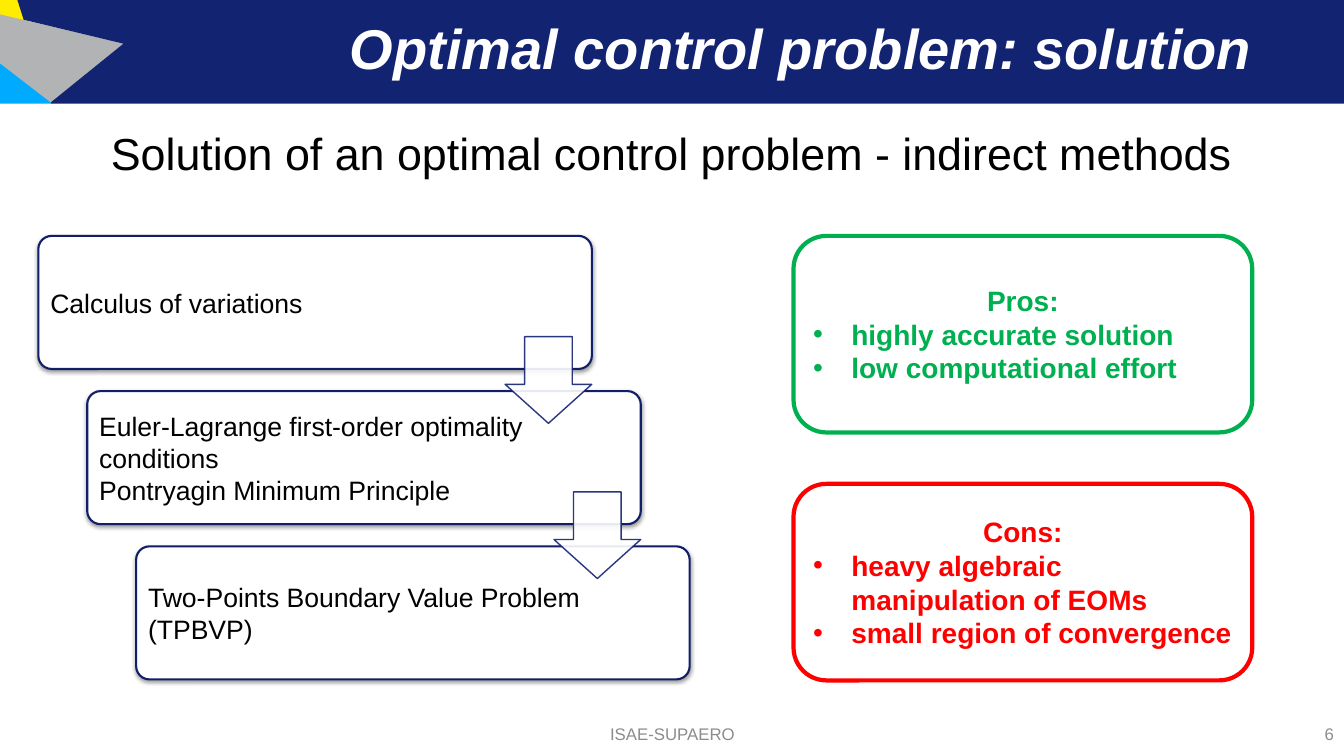
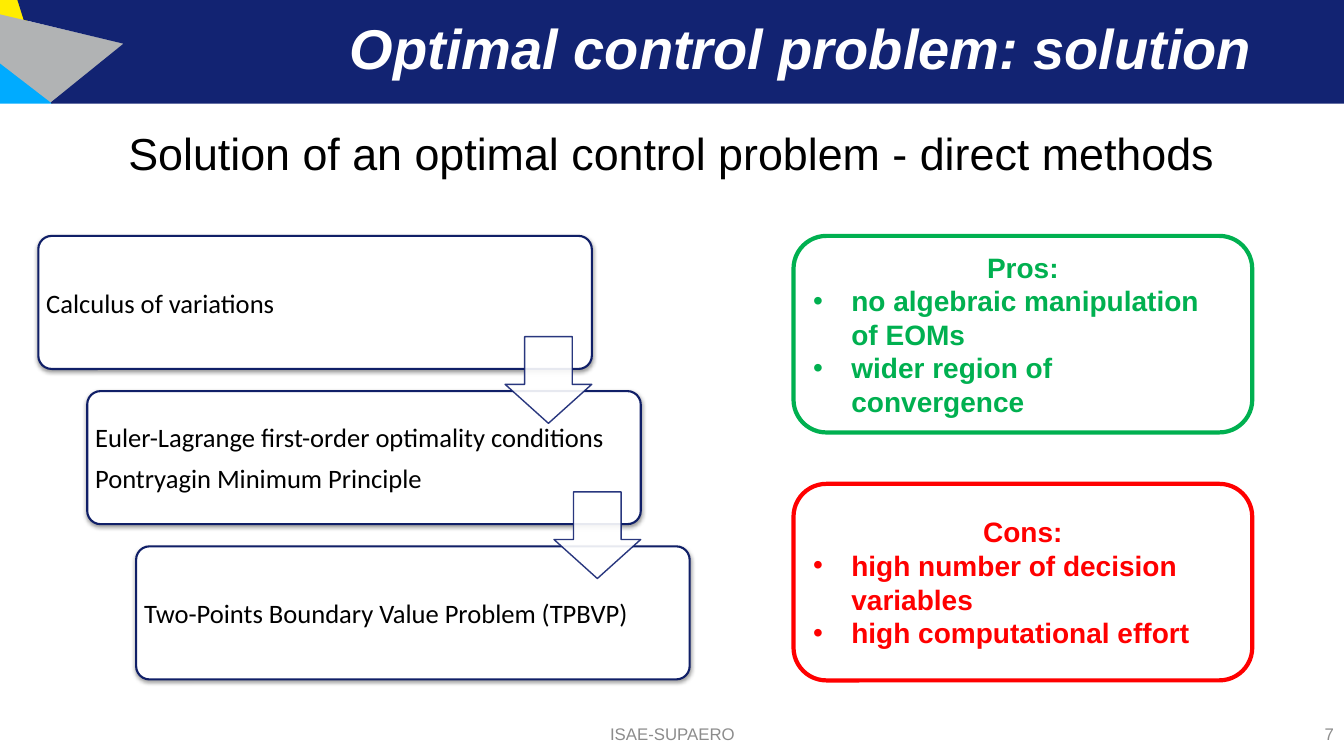
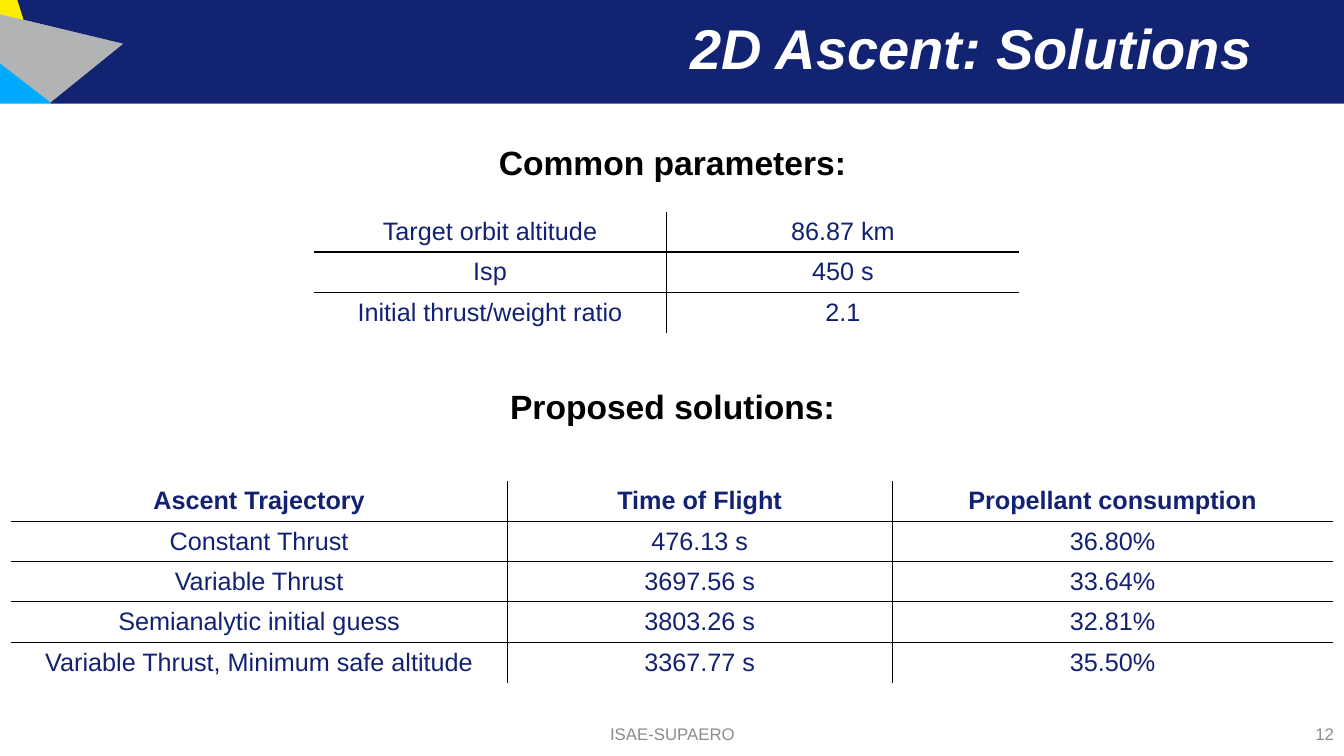
from lxml import etree
from pptx import Presentation
from pptx.dml.color import RGBColor
from pptx.enum import shapes, text
from pptx.oxml import ns
from pptx.util import Inches, Pt

NAVY, CARD_LINE, TABLE_BLUE = "122372", "101F67", "122271"
BLACK, WHITE, GREY = "000000", "FFFFFF", "8C8C8C"
GREEN, RED = "00B050", "FF0000"
SHAPE, ALIGN = shapes.MSO_SHAPE, text.PP_ALIGN
MIDDLE, TOP = text.MSO_ANCHOR.MIDDLE, text.MSO_ANCHOR.TOP

# Header band: colour and outline of each facet
HEADER_FACETS = [
    ("FFED00", [(0, 0), (0, 0.2), (0.28, 0.28), (0.22, 0)]),
    ("00ABFF", [(0, 0.6), (0, 1.02), (0.51, 1.02)]),
    ("B1B3B4", [(0, 0.15), (0, 0.62), (0.52, 1.02), (1.23, 0.44)]),
    (NAVY, [(0.51, 1.02), (1.24, 0.43), (0.24, 0.19), (0.18, 0),
            (13.33, 0), (13.33, 1.02)]),
]


def rgb(hex_color):
    return RGBColor.from_string(hex_color)


def sub(parent, tag, **attributes):
    return etree.SubElement(parent, ns.qn(tag), attributes)


def paint(shape, fill, line, width):
    shape.shadow.inherit = False
    if fill:
        shape.fill.solid()
        shape.fill.fore_color.rgb = rgb(fill)
    else:
        shape.fill.background()
    shape.line.color.rgb = rgb(line)
    shape.line.width = Pt(width)


def add_run(paragraph, words, size, color, font="Arial", bold=False, italic=False):
    run = paragraph.add_run()
    run.text = words
    run.font.name, run.font.size = font, Pt(size)
    run.font.bold, run.font.italic = bold, italic
    run.font.color.rgb = rgb(color)


def add_label(slide, box, words, size, color, align=ALIGN.CENTER, anchor=MIDDLE,
              spacing=1.0, **style):
    frame = slide.shapes.add_textbox(*map(Inches, box)).text_frame
    frame.word_wrap = True
    frame.vertical_anchor = anchor
    paragraph = frame.paragraphs[0]
    paragraph.alignment, paragraph.line_spacing = align, spacing
    add_run(paragraph, words, size, color, **style)


def add_frame(slide, title, number):
    """Header band, title and footer shared by every slide."""
    for color, points in HEADER_FACETS:
        corners = [(Inches(x), Inches(y)) for x, y in points]
        builder = slide.shapes.build_freeform(*corners[0], scale=1.0)
        builder.add_line_segments(corners[1:], close=True)
        paint(builder.convert_to_shape(), color, color, 1)
    add_label(slide, (0.72, 0, 11.79, 1.02), title, 40, WHITE, ALIGN.RIGHT,
              spacing=0.9, bold=True, italic=True)
    add_label(slide, (4.42, 7.08, 4.5, 0.4), "ISAE-SUPAERO", 12, GREY)
    add_label(slide, (10.33, 7.08, 3, 0.4), str(number), 12, GREY, ALIGN.RIGHT)


def add_card(slide, box, lines, font, inset, gap):
    card = slide.shapes.add_shape(SHAPE.ROUNDED_RECTANGLE, *map(Inches, box))
    card.adjustments[0] = 0.1
    paint(card, WHITE, CARD_LINE, 1.5)
    # Soft shadow below the card
    effects = card._element.spPr.find(ns.qn("a:effectLst"))
    shadow = sub(effects, "a:outerShdw", blurRad=str(Pt(3.1)), dist=str(Pt(1.6)),
                 dir="5400000", rotWithShape="0")
    sub(sub(shadow, "a:srgbClr", val=BLACK), "a:alpha", val="38000")
    frame = card.text_frame
    frame.word_wrap, frame.vertical_anchor = True, MIDDLE
    frame.margin_left = Inches(inset)
    frame.margin_right = frame.margin_top = frame.margin_bottom = Inches(0.08)
    for i, line in enumerate(lines):
        paragraph = frame.add_paragraph() if i else frame.paragraphs[0]
        paragraph.alignment, paragraph.space_after = ALIGN.LEFT, Pt(gap)
        add_run(paragraph, line, 19, BLACK, font)


def add_step_arrow(slide, left, top, side):
    arrow = slide.shapes.add_shape(SHAPE.DOWN_ARROW, *map(Inches, (left, top, side, side)))
    arrow.adjustments[0], arrow.adjustments[1] = 0.55, 0.45
    paint(arrow, WHITE, TABLE_BLUE, 1)
    for color in arrow._element.spPr.iter(ns.qn("a:srgbClr")):
        sub(color, "a:alpha", val="90000")


def add_staircase(slide, left, top, steps, **style):
    """Cards going down to the right, with an arrow between neighbours."""
    width, height, shift, drop, side = 5.49, 1.32, 0.485, 1.54, 0.86
    corners = [(left + i * shift, top + i * drop) for i in range(len(steps))]
    for (x, y), lines in zip(corners, steps):
        add_card(slide, (x, y, width, height), lines, **style)
    for x, y in corners[:-1]:
        add_step_arrow(slide, x + width - side, y + 1, side)


def add_verdict(slide, box, heading, points, color):
    """Outlined box with a centred heading and bullets."""
    panel = slide.shapes.add_shape(SHAPE.ROUNDED_RECTANGLE, *map(Inches, box))
    panel.adjustments[0] = 0.167
    paint(panel, None, color, 3)
    frame = panel.text_frame
    frame.word_wrap, frame.vertical_anchor = True, MIDDLE
    frame.paragraphs[0].alignment = ALIGN.CENTER
    add_run(frame.paragraphs[0], heading, 20, color, bold=True)
    for point in points:
        paragraph = frame.add_paragraph()
        paragraph.alignment = ALIGN.LEFT
        props = paragraph._p.get_or_add_pPr()
        props.set("marL", str(Inches(0.38)))
        props.set("indent", str(-Inches(0.38)))
        sub(props, "a:buFont", typeface="Arial")
        sub(props, "a:buChar", char="•")
        add_run(paragraph, point, 20, color, bold=True)


def set_borders(cell, shown):
    props = cell._tc.get_or_add_tcPr()
    for i, side in enumerate("LRTB"):
        line = etree.Element(ns.qn(f"a:ln{side}"), w=str(Pt(1)))
        if side in shown:
            sub(sub(line, "a:solidFill"), "a:srgbClr", val=BLACK)
        else:
            sub(line, "a:noFill")
        props.insert(i, line)


def add_grid(slide, left, top, widths, rows, header=False):
    """Table ruled only between its cells."""
    row_height = 0.4
    table = slide.shapes.add_table(
        len(rows), len(widths), Inches(left), Inches(top),
        Inches(sum(widths)), Inches(row_height * len(rows))).table
    table.first_row = table.horz_banding = False
    for column, width in zip(table.columns, widths):
        column.width = Inches(width)
    for r, row in enumerate(rows):
        table.rows[r].height = Inches(row_height)
        for c, words in enumerate(row):
            cell = table.cell(r, c)
            cell.fill.background()
            cell.vertical_anchor = MIDDLE
            paragraph = cell.text_frame.paragraphs[0]
            paragraph.alignment = ALIGN.CENTER
            add_run(paragraph, words, 18, TABLE_BLUE, bold=header and r == 0)
            inner = {"L": c > 0, "R": c < len(widths) - 1,
                     "T": r > 0, "B": r < len(rows) - 1}
            set_borders(cell, [side for side in inner if inner[side]])


def method_slide(slide, number, method, pros, cons, **card_style):
    add_frame(slide, "Optimal control problem: solution", number)
    add_label(slide, (0.38, 1.26, 12.57, 0.73),
              f"Solution of an optimal control problem - {method} methods",
              32, BLACK, anchor=TOP, spacing=0.9)
    add_staircase(slide, 0.38, 2.34, [
        ["Calculus of variations"],
        ["Euler-Lagrange first-order optimality conditions",
         "Pontryagin Minimum Principle"],
        ["Two-Points Boundary Value Problem (TPBVP)"],
    ], **card_style)
    add_verdict(slide, (7.87, 2.34, 4.55, 1.95), "Pros:", pros, GREEN)
    add_verdict(slide, (7.87, 4.8, 4.55, 1.95), "Cons:", cons, RED)


def results_slide(slide, number):
    add_frame(slide, "2D Ascent: Solutions", number)
    for top, heading in [(1.36, "Common parameters:"), (3.78, "Proposed solutions:")]:
        add_label(slide, (4.67, top, 4, 0.5), heading, 24, BLACK, anchor=TOP, bold=True)
    add_grid(slide, 3.11, 2.1, [3.5, 3.5], [
        ("Target orbit altitude", "86.87 km"),
        ("Isp", "450 s"),
        ("Initial thrust/weight ratio", "2.1"),
    ])
    add_grid(slide, 0.11, 4.77, [4.92, 3.82, 4.37], [
        ("Ascent Trajectory", "Time of Flight", "Propellant consumption"),
        ("Constant Thrust", "476.13 s", "36.80%"),
        ("Variable Thrust", "3697.56 s", "33.64%"),
        ("Semianalytic initial guess", "3803.26 s", "32.81%"),
        ("Variable Thrust, Minimum safe altitude", "3367.77 s", "35.50%"),
    ], header=True)


def main():
    deck = Presentation()
    deck.slide_width, deck.slide_height = Inches(13.33), Inches(7.5)
    indirect, direct, results = [
        deck.slides.add_slide(deck.slide_layouts[6]) for _ in range(3)]
    method_slide(indirect, 6, "indirect",
                 ["highly accurate solution", "low computational effort"],
                 ["heavy algebraic manipulation of EOMs", "small region of convergence"],
                 font="Arial", inset=0.08, gap=0)
    method_slide(direct, 7, "direct",
                 ["no algebraic manipulation of EOMs", "wider region of convergence"],
                 ["high number of decision variables", "high computational effort"],
                 font="Calibri", inset=0.04, gap=6.65)
    results_slide(results, 12)
    deck.save("out.pptx")


if __name__ == "__main__":
    main()
